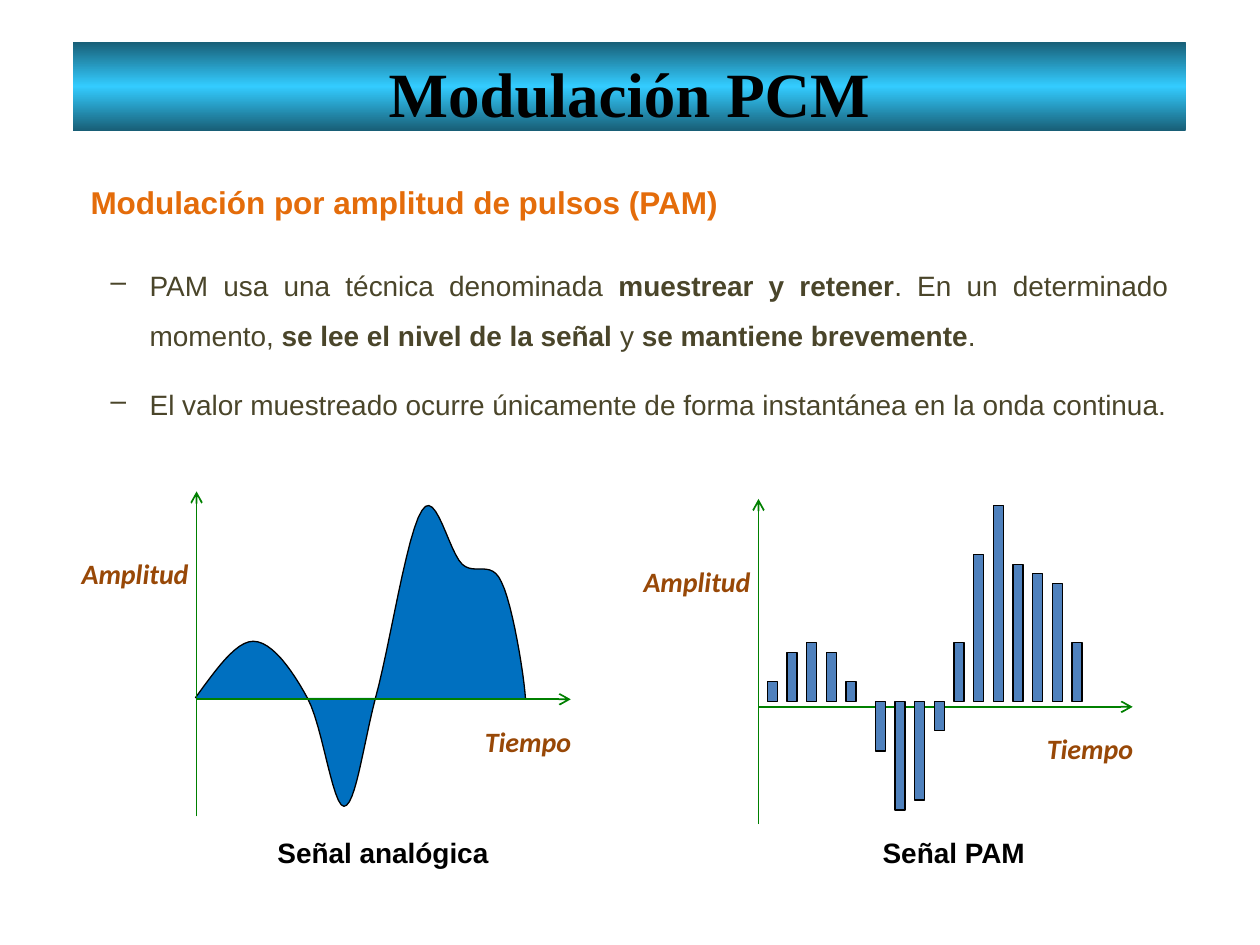
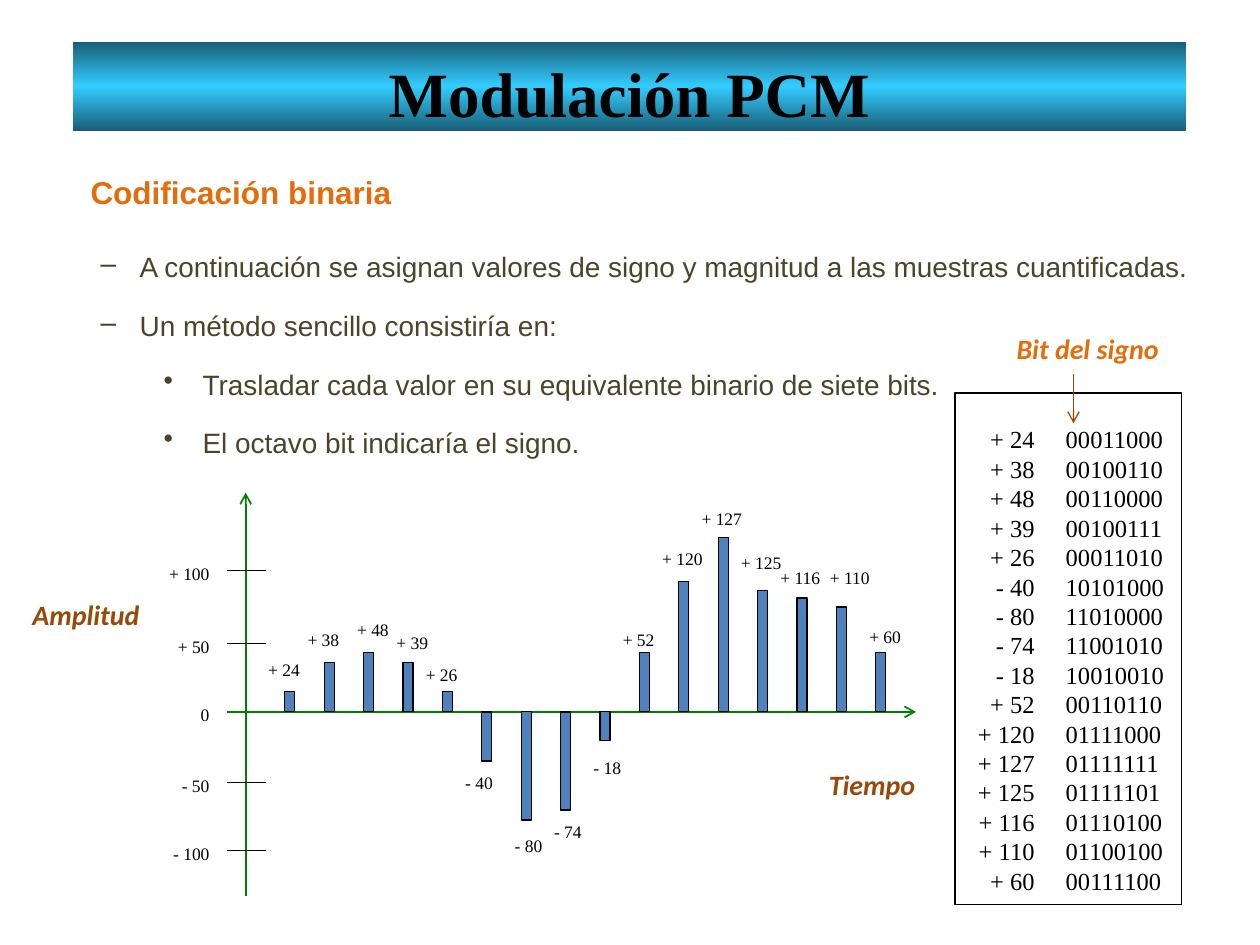
from copy import deepcopy

from pptx import Presentation
from pptx.dml.color import RGBColor
from pptx.enum.shapes import MSO_CONNECTOR, MSO_SHAPE
from pptx.enum.text import MSO_ANCHOR, MSO_AUTO_SIZE, PP_ALIGN
from pptx.oxml.ns import qn
from pptx.oxml.xmlchemy import OxmlElement
from pptx.util import Inches, Pt

COLORS = {
    "black": "000000",
    "edge": "185E76",
    "glow": "33CCFF",
    "head": "E46C0A",
    "body": "4A452A",
    "axis": "008000",
    "label": "984807",
    "wave": "0070C0",
    "bar": "4F81BD",
}
SERIF = "Times New Roman"
BAR_WIDTH = 0.08

# Signed bar heights in inches; tall ones are reduced on the coded plot.
HEIGHTS = [0.16, 0.39, 0.47, 0.39, 0.16, -0.39, -0.86, -0.78,
           -0.23, 0.47, 1.17, 1.56, 1.09, 1.02, 0.94, 0.47]
TALL_SCALE = 0.886

# Value, binary code, label offset from its bar and from the time axis.
SAMPLES = [
    (24, "00011000", -0.23, -0.47),
    (38, "00100110", -0.23, -0.71),
    (48, "00110000", -0.15, -0.79),
    (39, "00100111", -0.15, -0.68),
    (26, "00011010", -0.23, -0.43),
    (-40, "10101000", -0.23, 0.43),
    (-80, "11010000", -0.15, 0.93),
    (-74, "11001010", -0.15, 0.82),
    (-18, "10010010", -0.15, 0.31),
    (52, "00110110", -0.23, -0.71),
    (120, "01111000", -0.23, -1.35),
    (127, "01111111", -0.23, -1.67),
    (125, "01111101", -0.23, -1.32),
    (116, "01110100", -0.23, -1.2),
    (110, "01100100", -0.15, -1.2),
    (60, "00111100", -0.15, -0.73),
]
# Scale value and its offset from the time axis.
TICKS = [(100, -1.12), (50, -0.54), (0, 0), (-50, 0.56), (-100, 1.1)]

# Bezier segments: two control points and an end point each.
START = (-0.01, 1.64)
CURVE = [
    ((0.15, 1.42), (0.31, 1.19), (0.45, 1.19)),
    ((0.6, 1.19), (0.76, 1.42), (0.88, 1.64)),
    ((1.0, 1.86), (1.08, 2.5), (1.17, 2.5)),
    ((1.26, 2.5), (1.32, 2.03), (1.42, 1.64)),
    ((1.53, 1.25), (1.67, 0.32), (1.79, 0.15)),
    ((1.9, -0.03), (2.0, 0.48), (2.11, 0.58)),
    ((2.21, 0.67), (2.34, 0.54), (2.42, 0.72)),
    ((2.51, 0.9), (2.6, 1.47), (2.61, 1.64)),
]


def rgb(name):
    return RGBColor.from_string(COLORS[name])


def style(font, size, face="Arial", color="black", bold=False, italic=False):
    font.size, font.name = Pt(size), face
    font.color.rgb = rgb(color)
    font.bold, font.italic = bold, italic


def text(slide, box, words, size, align=PP_ALIGN.LEFT, pitch=None, **look):
    """Add a text box; each line of words becomes a paragraph."""
    frame = slide.shapes.add_textbox(*map(Inches, box)).text_frame
    frame.word_wrap = True
    frame.text = words
    for para in frame.paragraphs:
        para.alignment = align
        if pitch:
            para.line_spacing = Pt(pitch)
        for run in para.runs:
            style(run.font, size, **look)


def tag(slide, left, top, words, width=1.33, color="label"):
    text(slide, (left, top, width, 0.37), words, 16,
         face="Calibri", color=color, bold=True, italic=True)


def number(slide, left, top, value, align=PP_ALIGN.LEFT):
    text(slide, (left, top, 0.62, 0.27), signed(value), 10, align, face=SERIF)


def signed(value):
    if value == 0:
        return "0"
    return f"{'+' if value > 0 else '-'} {abs(value)}"


def paint(shape, fill=None):
    """Give a shape a flat fill, or none, and a thin black outline."""
    shape.shadow.inherit = False
    if fill:
        shape.fill.solid()
        shape.fill.fore_color.rgb = rgb(fill)
    else:
        shape.fill.background()
    shape.line.color.rgb = rgb("black")
    shape.line.width = Pt(0.75)


def line(slide, x1, y1, x2, y2, color="black", width=0.75, arrow=False):
    link = slide.shapes.add_connector(
        MSO_CONNECTOR.STRAIGHT, *map(Inches, (x1, y1, x2, y2)))
    link.line.color.rgb = rgb(color)
    link.line.width = Pt(width)
    if arrow:
        tip = OxmlElement("a:tailEnd")
        tip.set("type", "arrow")
        link.line._get_or_add_ln().append(tip)
    link._element.spPr.append(OxmlElement("a:effectLst"))


def band(slide, words="Modulación PCM"):
    title = slide.shapes.title
    title.left, title.top, title.width, title.height = map(
        Inches, (0.58, 0.33, 8.83, 0.71))
    title.fill.gradient()
    title.fill.gradient_angle = 270
    stops = title._element.spPr.find(qn("a:gradFill")).find(qn("a:gsLst"))
    middle = deepcopy(stops[0])
    middle.set("pos", "50000")
    stops.insert(1, middle)
    for stop, color in zip(title.fill.gradient_stops, ("edge", "glow", "edge")):
        stop.color.rgb = rgb(color)
    frame = title.text_frame
    frame.auto_size = MSO_AUTO_SIZE.NONE
    frame.vertical_anchor = MSO_ANCHOR.TOP
    frame.margin_top, frame.margin_bottom = Inches(0.1), 0
    frame.text = words
    para = frame.paragraphs[0]
    para.alignment = PP_ALIGN.CENTER
    style(para.runs[0].font, 36, SERIF, bold=True)


def heading(slide, top, words):
    frame = slide.shapes.add_textbox(
        *map(Inches, (0.62, top, 6.41, 0.62))).text_frame
    frame.word_wrap = True
    frame.text = words
    para = frame.paragraphs[0]
    para.line_spacing = 1.5
    style(para.runs[0].font, 18, color="head", bold=True)


def bullets(slide, box, items):
    """Add (level, words) items; words between asterisks are bold."""
    frame = slide.shapes.add_textbox(*map(Inches, box)).text_frame
    frame.word_wrap = True
    for i, (level, words) in enumerate(items):
        para = frame.add_paragraph() if i else frame.paragraphs[0]
        para.level = level
        para.alignment = PP_ALIGN.JUSTIFY
        para.line_spacing = 1.5
        if i:
            para.space_before = Pt(4.4)
        props = para._p.get_or_add_pPr()
        props.set("marL", str(Inches(0.31 + level * 0.5)))
        props.set("indent", str(Inches(-0.31)))
        mark = OxmlElement("a:buChar")
        mark.set("char", "–•"[level])
        props.append(mark)
        for j, part in enumerate(words.split("*")):
            if part:
                run = para.add_run()
                run.text = part
                style(run.font, 16, color="body", bold=j % 2 == 1)


def axes(slide, left, top, height, base, right, lead=0):
    """Draw both axes; base is the drop to the time axis, lead its overhang."""
    line(slide, left, top + height, left, top, "axis", 1, True)
    line(slide, left - lead, top + base, left + right, top + base, "axis", 1, True)


def bars(slide, lefts, base, heights):
    for left, height in zip(lefts, heights):
        top = base - max(height, 0)
        paint(slide.shapes.add_shape(MSO_SHAPE.RECTANGLE, *map(
            Inches, (left, top, BAR_WIDTH, abs(height)))), "bar")


def wave(slide, left, top, steps=12):
    points, last = [], START
    for one, two, end in CURVE:
        for k in range(1, steps + 1):
            t = k / steps
            u = 1 - t
            points.append(tuple(
                u**3 * a + 3 * u * u * t * b + 3 * u * t * t * c + t**3 * d
                for a, b, c, d in zip(last, one, two, end)))
        last = end
    path = slide.shapes.build_freeform(
        Inches(left + START[0]), Inches(top + START[1]))
    path.add_line_segments(
        [(Inches(left + x), Inches(top + y)) for x, y in points], close=False)
    paint(path.convert_to_shape(), "wave")


def signal(slide, left, top, words, middle):
    axes(slide, left, top, height=2.58, base=1.65, right=2.97)
    tag(slide, left - 1.01, top + 0.47, "Amplitud")
    tag(slide, left + 2.19, top + 1.8, "Tiempo")
    text(slide, (middle - 1.17, 6.58, 2.34, 0.37), words, 16,
         PP_ALIGN.CENTER, bold=True)


def coded(slide, left, top):
    """Plot the quantised samples with their scale and values."""
    base = top + 1.74
    axes(slide, left, top, height=3.2, base=1.74, right=5.32, lead=0.15)
    tag(slide, left - 1.79, top + 0.78, "Amplitud")
    tag(slide, left + 4.53, top + 2.13, "Tiempo")
    lefts = [left + 0.31 + i * 0.3127 for i in range(len(SAMPLES))]
    bars(slide, lefts, base,
         [h * TALL_SCALE if h > 0.5 else h for h in HEIGHTS])
    for x, (value, _, dx, dy) in zip(lefts, SAMPLES):
        number(slide, x + dx, base + dy, value)
    for value, dy in TICKS:
        if value:
            line(slide, left - 0.15, base + dy, left + 0.16, base + dy)
        number(slide, left - 0.81, base + dy - 0.11, value, PP_ALIGN.RIGHT)


def codes(slide, left, top):
    """Frame the values and their codes, and point at the sign bit."""
    paint(slide.shapes.add_shape(MSO_SHAPE.RECTANGLE, *map(
        Inches, (left, top, 1.8, 4.06))))
    values = "\n".join(signed(sample[0]) for sample in SAMPLES)
    bits = "\n".join(sample[1] for sample in SAMPLES)
    text(slide, (left - 0.08, top + 0.2, 0.81, 3.87), values, 14,
         PP_ALIGN.RIGHT, 16.8, face=SERIF)
    text(slide, (left + 0.78, top + 0.2, 1.09, 3.87), bits, 14,
         pitch=16.8, face=SERIF)
    tag(slide, left + 0.39, top - 0.54, "Bit del signo", 1.48, "head")
    line(slide, left + 0.94, top - 0.15, left + 0.94, top + 0.24,
         "label", arrow=True)


def pulses(slide):
    band(slide)
    heading(slide, 1.25, "Modulación por amplitud de pulsos (PAM)")
    bullets(slide, (0.78, 1.95, 8.59, 0.86), [(
        0, "PAM usa una técnica denominada *muestrear y retener*. En un "
           "determinado momento, *se lee el nivel de la señal *y "
           "*se mantiene brevemente*.")])
    bullets(slide, (0.78, 2.89, 8.59, 0.94), [(
        0, "El valor muestreado ocurre únicamente de forma instantánea "
           "en la onda continua.")])
    wave(slide, 1.56, 3.9)
    signal(slide, 1.56, 3.9, "Señal analógica", 3.04)
    signal(slide, 6.02, 3.96, "Señal PAM", 7.57)
    # The negative run starts half a step late.
    lefts = [6.09 + 0.156 * (i + (0.5 if i > 4 else 0))
             for i in range(len(HEIGHTS))]
    bars(slide, lefts, 5.57, HEIGHTS)


def binary(slide):
    band(slide)
    heading(slide, 1.17, "Codificación binaria")
    bullets(slide, (0.7, 1.8, 8.91, 0.62), [(
        0, "A continuación se asignan valores de signo y magnitud "
           "a las muestras cuantificadas.")])
    bullets(slide, (0.7, 2.27, 7.19, 1.41), [
        (0, "Un método sencillo consistiría en:"),
        (1, "Trasladar cada valor en su equivalente binario de siete bits."),
        (1, "El octavo bit indicaría el signo."),
    ])
    coded(slide, 1.95, 3.91)
    codes(slide, 7.58, 3.12)


def main():
    deck = Presentation()
    deck.slide_width, deck.slide_height = Inches(10), Inches(7.5)
    for build in (pulses, binary):
        build(deck.slides.add_slide(deck.slide_layouts[5]))
    deck.save("out.pptx")


if __name__ == "__main__":
    main()
